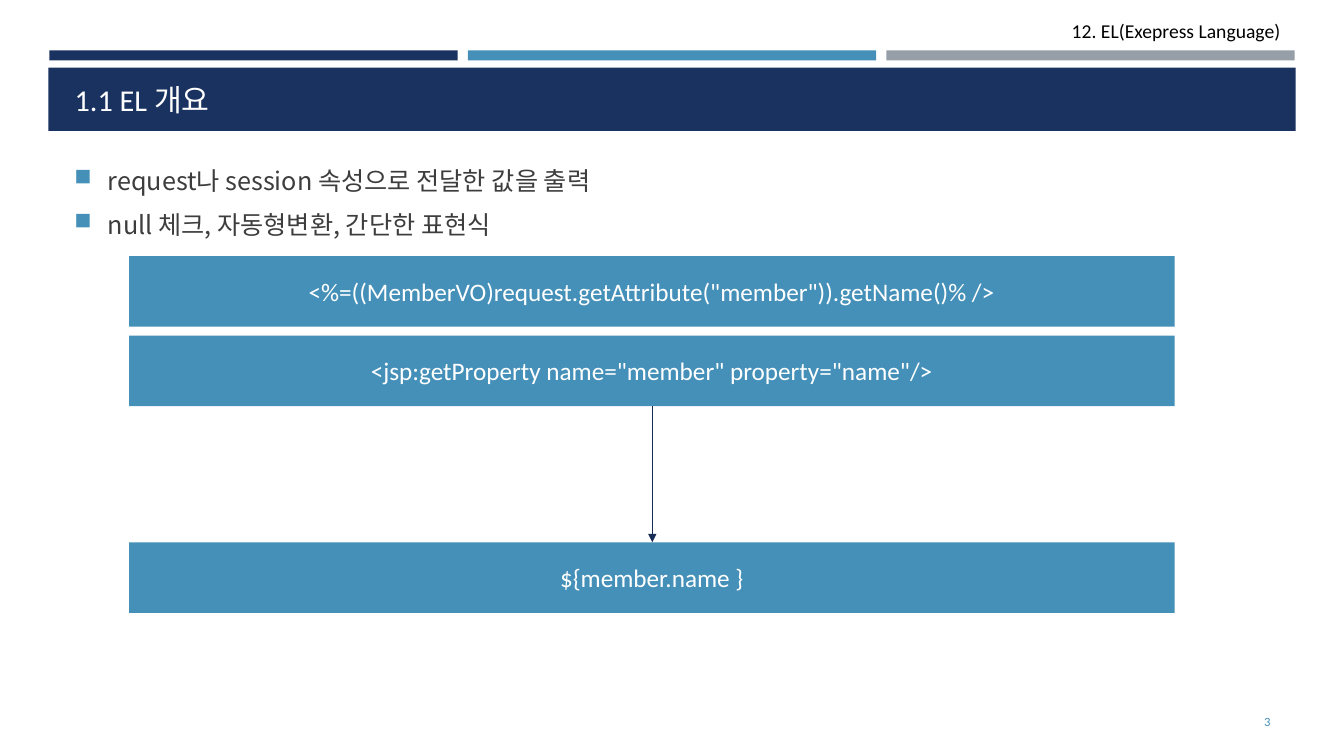
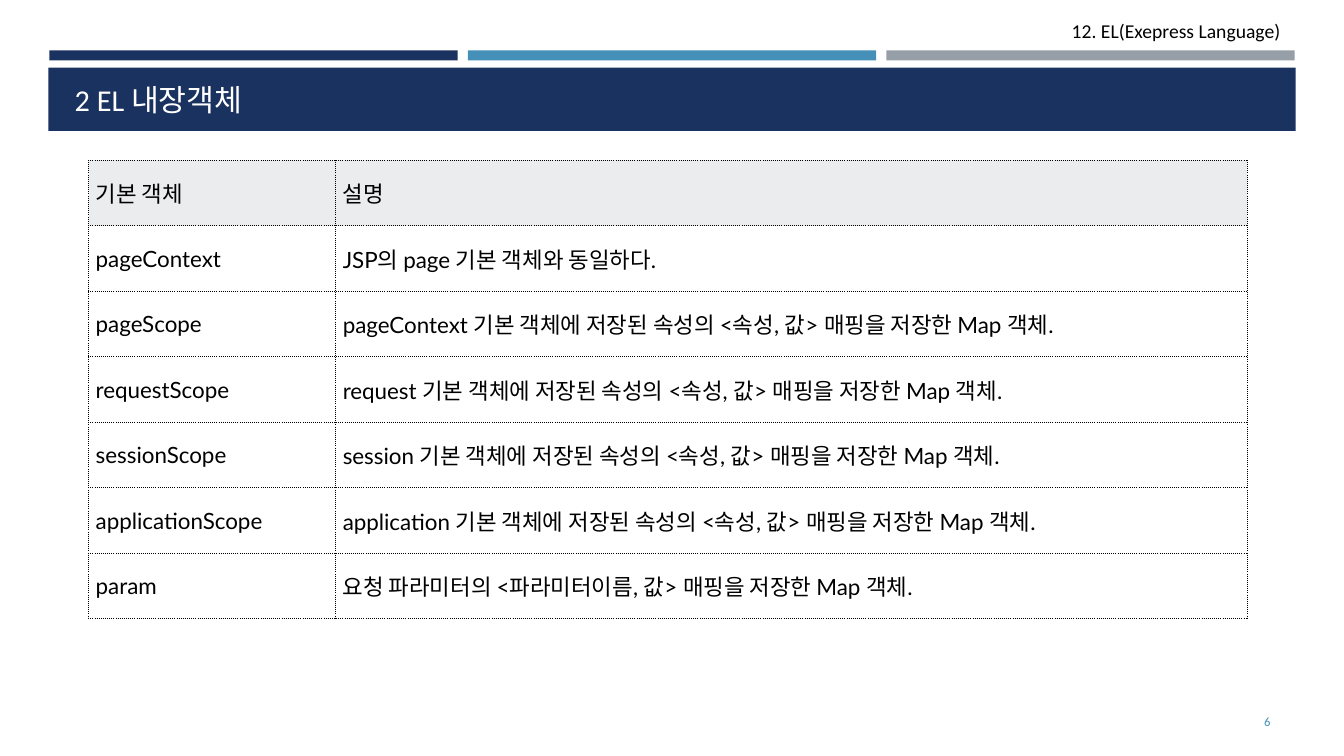
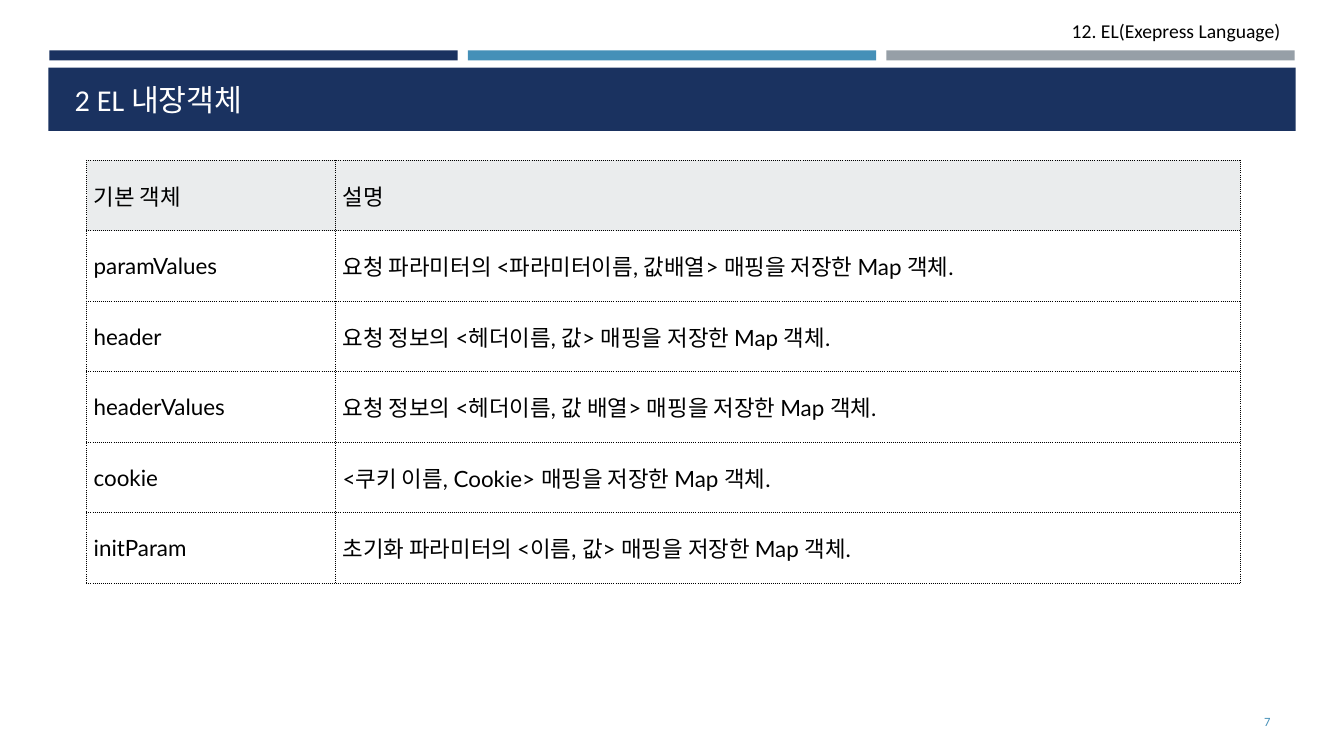
from lxml import etree
from pptx import Presentation
from pptx.dml.color import RGBColor
from pptx.enum.shapes import MSO_CONNECTOR, MSO_SHAPE
from pptx.enum.text import MSO_ANCHOR as ANCHOR, PP_ALIGN as ALIGN
from pptx.oxml.ns import qn
from pptx.util import Inches, Pt

# Shared style
NAVY, BLUE, GREY = "1A3260", "4590B8", "969FA7"
BLACK, WHITE, BODY, ARROW, HEADER = "000000", "FFFFFF", "3D3D3D", "172D56", "EAECED"
CALIBRI, LATO, KOREAN = "Calibri", "Lato", "Noto Sans CJK KR"
CHAPTER = "12. EL(Exepress Language)"


def rgb(value):
    return RGBColor.from_string(value)


def child(parent, tag, **attrs):
    return etree.SubElement(parent, qn(tag), attrs)


def box(*inches):
    return [Inches(v) for v in inches]


class Deck:
    def __init__(self):
        self.prs = Presentation()
        self.prs.slide_width, self.prs.slide_height = box(13.33, 7.5)
        self.s = None

    def slide(self, title, number):
        self.s = self.prs.slides.add_slide(self.prs.slide_layouts[5])
        # Bands and chapter name
        for i, color in enumerate((NAVY, BLUE, GREY)):
            self.rect(0.49 + i * 4.15, 0.5, 4.05, 0.1, color)
        self.text(CHAPTER, 8.76, 0.14, 4.04, 0.34, 14, BLACK, ALIGN.RIGHT)
        self.rect(0.48, 0.67, 12.37, 0.63, NAVY)
        # Title, in front of its band
        sp = self.s.shapes.title
        sp.left, sp.top, sp.width, sp.height = box(0.64, 0.77, 12.06, 0.45)
        self.s.shapes._spTree.append(sp._element)
        self.fill_text(sp.text_frame, title, 21.6, WHITE, anchor=ANCHOR.BOTTOM)
        # Page number
        self.text(str(number), 11.55, 6.96, 1.15, 0.4, 9, BLUE, ALIGN.RIGHT, ANCHOR.MIDDLE)

    def style(self, p, size, color, align=ALIGN.LEFT, font=CALIBRI):
        p.alignment = align
        p.font.size, p.font.name = Pt(size), font
        p.font.color.rgb = rgb(color)
        for r in p.runs:
            child(r._r.get_or_add_rPr(), "a:ea", typeface=KOREAN)

    def fill_text(self, tf, text, size, color, align=ALIGN.LEFT, anchor=ANCHOR.TOP):
        tf.text = text
        tf.word_wrap, tf.vertical_anchor = True, anchor
        self.style(tf.paragraphs[0], size, color, align)

    def text(self, text, x, y, w, h, size, color, align=ALIGN.LEFT, anchor=ANCHOR.TOP):
        sp = self.s.shapes.add_textbox(*box(x, y, w, h))
        self.fill_text(sp.text_frame, text, size, color, align, anchor)

    def rect(self, x, y, w, h, color, text=None):
        sp = self.s.shapes.add_shape(MSO_SHAPE.RECTANGLE, *box(x, y, w, h))
        sp.shadow.inherit = False
        sp.fill.solid()
        sp.fill.fore_color.rgb = rgb(color)
        sp.line.fill.background()
        if text:
            self.fill_text(sp.text_frame, text, 18, WHITE, ALIGN.CENTER, ANCHOR.MIDDLE)

    def bullets(self, items, x, y, w, h):
        tf = self.s.shapes.add_textbox(*box(x, y, w, h)).text_frame
        tf.word_wrap = True
        for i, item in enumerate(items):
            p = tf.paragraphs[0] if i == 0 else tf.add_paragraph()
            p.text = item
            p.space_before, p.space_after = Pt(3.6), Pt(6)
            self.style(p, 18, BODY, font=KOREAN)
            pPr = p._p.get_or_add_pPr()
            pPr.set("marL", str(Inches(0.33)))
            pPr.set("indent", str(-Inches(0.33)))
            marks = etree.Element("marks")
            child(child(marks, "a:buClr"), "a:srgbClr", val=BLUE)
            child(marks, "a:buSzPct", val="92000")
            child(marks, "a:buChar", char="■")
            for mark in list(marks):
                pPr.find(qn("a:defRPr")).addprevious(mark)

    def arrow(self, x1, y1, x2, y2):
        line = self.s.shapes.add_connector(MSO_CONNECTOR.STRAIGHT, *box(x1, y1, x2, y2))
        line.line.width = Pt(1)
        line.line.color.rgb = rgb(ARROW)
        child(line.line._get_or_add_ln(), "a:tailEnd", type="triangle")
        child(line._element.spPr, "a:effectLst")

    def table(self, rows, x, y, widths, row_height):
        rows = [("기본 객체", "설명"), *rows]
        frame = self.s.shapes.add_table(
            len(rows), len(widths), *box(x, y, sum(widths), row_height * len(rows)))
        table = frame.table
        for column, width in zip(table.columns, widths):
            column.width = Inches(width)
        for i, row in enumerate(rows):
            for j, text in enumerate(row):
                self.cell(table.cell(i, j), text, header=i == 0)

    def cell(self, cell, text, header):
        cell.text = text
        cell.vertical_anchor = ANCHOR.MIDDLE
        cell.margin_left = cell.margin_right = Inches(0.07)
        cell.margin_top = cell.margin_bottom = 0
        self.style(cell.text_frame.paragraphs[0], 16, BLACK, ALIGN.JUSTIFY, LATO)
        # Borders go before the fill
        tcPr = cell._tc.get_or_add_tcPr()
        for side in ("a:lnL", "a:lnR", "a:lnT", "a:lnB"):
            ln = child(tcPr, side, w=str(Pt(0.75)))
            child(child(ln, "a:solidFill"), "a:srgbClr", val=BLACK)
            child(ln, "a:prstDash", val="sysDot")
        if header:
            cell.fill.solid()
            cell.fill.fore_color.rgb = rgb(HEADER)
        else:
            cell.fill.background()


deck = Deck()

# EL overview
deck.slide("1.1 EL 개요", 3)
deck.bullets(["request나 session 속성으로 전달한 값을 출력",
              "null 체크, 자동형변환, 간단한 표현식"], 0.64, 1.59, 12.06, 5.28)
for top, code in ((2.54, '<%=((MemberVO)request.getAttribute("member")).getName()% />'),
                  (3.33, '<jsp:getProperty name="member" property="name"/>'),
                  (5.38, "${member.name }")):
    deck.rect(1.28, top, 10.37, 0.7, BLUE, code)
deck.arrow(6.47, 4.03, 6.47, 5.38)

# Built-in objects: scopes
MAP = "매핑을 저장한 Map 객체."
deck.slide("2 EL 내장객체", 6)
scopes = [(f"{scope}Scope", f"{source} 기본 객체에 저장된 속성의 <속성, 값> {MAP}")
          for scope, source in (("page", "pageContext"), ("request", "request"),
                                ("session", "session"), ("application", "application"))]
deck.table([("pageContext", "JSP의 page 기본 객체와 동일하다."),
            *scopes,
            ("param", f"요청 파라미터의 <파라미터이름, 값> {MAP}")],
           0.88, 1.59, (2.45, 9.04), 0.65)

# Built-in objects: request data
deck.slide("2 EL 내장객체", 7)
deck.table([("paramValues", f"요청 파라미터의 <파라미터이름, 값배열> {MAP}"),
            ("header", f"요청 정보의 <헤더이름, 값> {MAP}"),
            ("headerValues", f"요청 정보의 <헤더이름, 값 배열> {MAP}"),
            ("cookie", f"<쿠키 이름, Cookie> {MAP}"),
            ("initParam", f"초기화 파라미터의 <이름, 값> {MAP}")],
           0.86, 1.59, (2.47, 8.97), 0.7)

deck.prs.save("out.pptx")
